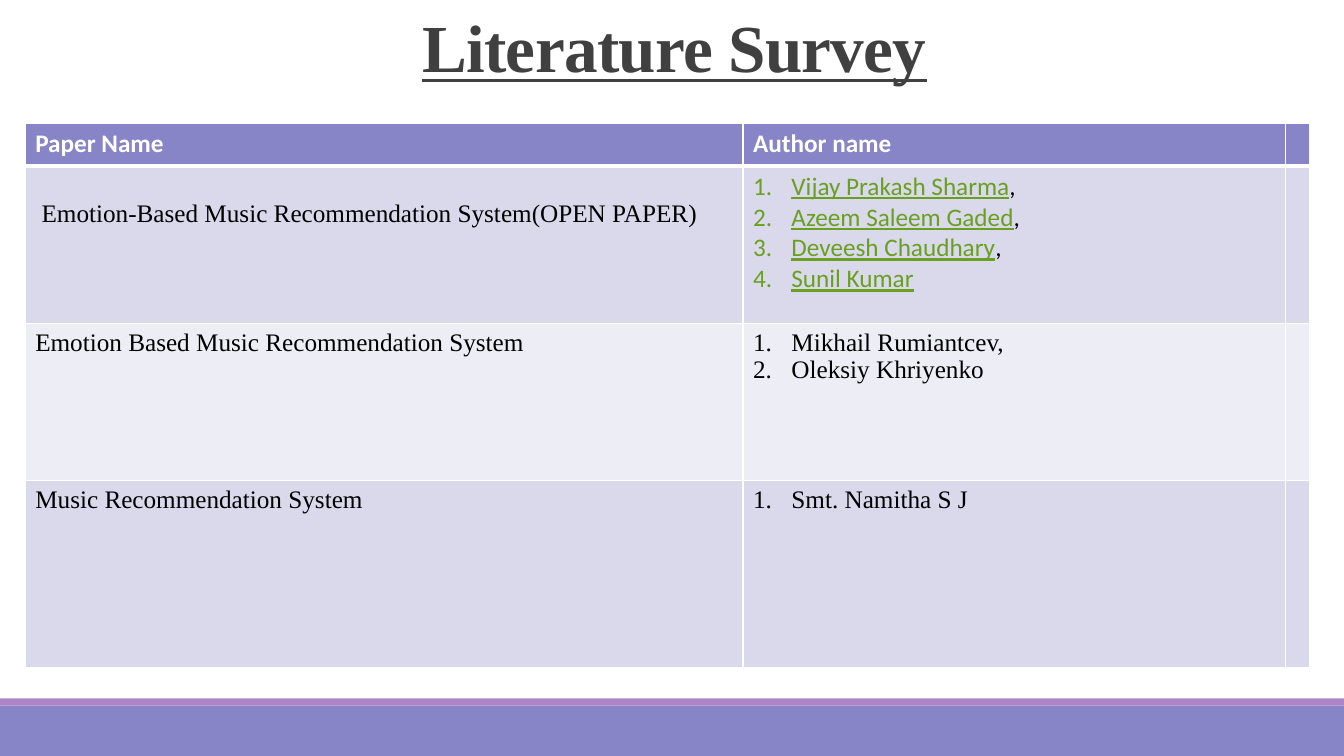
from lxml.etree import SubElement
from pptx import Presentation
from pptx.dml.color import RGBColor
from pptx.enum.shapes import MSO_SHAPE
from pptx.enum.text import MSO_ANCHOR, MSO_AUTO_SIZE, PP_ALIGN
from pptx.oxml.ns import qn
from pptx.util import Inches, Pt

COLORS = {"purple": "8784C7", "orchid": "AD84C6", "dark": "404040", "white": "FFFFFF",
          "black": "000000", "link": "69A020", "band": "D9D9EB", "light": "EDEDF5"}
SERIF, SANS = "Times New Roman", "Calibri"


def add_run(p, text, color, **formats):
    r = p.add_run()
    r.text = text
    r.font.color.rgb = RGBColor.from_string(COLORS[color])
    for name, value in formats.items():
        setattr(r.font, name, value)
    return r


def add_border(cell, side, width):
    ln = SubElement(cell._tc.get_or_add_tcPr(), qn(f"a:ln{side}"), w=str(Pt(width)))
    fill = SubElement(ln, qn("a:solidFill"))
    SubElement(fill, qn("a:srgbClr"), val=COLORS["white"])


prs = Presentation()
prs.slide_width, prs.slide_height = Inches(13.33), Inches(7.5)
s = prs.slides.add_slide(prs.slide_layouts[5])

# Footer bands
for top, height, color in [(7, 0.5, "purple"), (6.93, 0.07, "orchid")]:
    sp = s.shapes.add_shape(MSO_SHAPE.RECTANGLE, 0, Inches(top), prs.slide_width, Inches(height))
    sp.shadow.inherit = False
    sp.fill.solid()
    sp.fill.fore_color.rgb = RGBColor.from_string(COLORS[color])
    sp.line.fill.background()

# Title
title = s.shapes.title
title.left, title.top, title.width, title.height = map(Inches, (1.19, 0, 11, 0.91))
tf = title.text_frame
tf.auto_size = MSO_AUTO_SIZE.NONE
tf.vertical_anchor = MSO_ANCHOR.BOTTOM
p = tf.paragraphs[0]
p.alignment = PP_ALIGN.CENTER
p.line_spacing = 0.85
r = add_run(p, "Literature Survey", "dark", name=SERIF, size=Pt(48), bold=True, underline=True)
r.font._element.set("spc", "-50")

# Papers and their numbered authors
papers = [
    (" Emotion-Based Music Recommendation System(OPEN PAPER)",
     ["Vijay Prakash Sharma,", "Azeem Saleem Gaded,", "Deveesh Chaudhary,", "Sunil Kumar"]),
    ("Emotion Based Music Recommendation System", ["Mikhail Rumiantcev,", "Oleksiy Khriyenko"]),
    ("Music Recommendation System", ["Smt. Namitha S J"]),
]

# Table grid
col_widths, row_heights = [7.12, 5.38, 0.23], [0.43, 1.56, 1.56, 1.85]
table = s.shapes.add_table(4, 3, Inches(0.25), Inches(1.22), Inches(sum(col_widths)),
                           Inches(sum(row_heights))).table
for col, width in zip(table.columns, col_widths):
    col.width = Inches(width)
for i, (row, height) in enumerate(zip(table.rows, row_heights)):
    row.height = Inches(height)
    for cell in row.cells:
        for side in "LRTB":
            thick = (i, side) in [(0, "B"), (1, "T")]
            add_border(cell, side, 3 if thick else 1)
        cell.fill.solid()
        fill = "purple" if i == 0 else "band" if i % 2 else "light"
        cell.fill.fore_color.rgb = RGBColor.from_string(COLORS[fill])

# Header row
for j, heading in enumerate(["Paper Name", "Author name"]):
    add_run(table.cell(0, j).text_frame.paragraphs[0], heading, "white",
            name=SANS, size=Pt(18), bold=True)

# Paper rows
for i, (paper, authors) in enumerate(papers, 1):
    add_run(table.cell(i, 0).text_frame.paragraphs[0], paper, "black", name=SERIF, size=Pt(18))
    linked = i == 1
    tf = table.cell(i, 1).text_frame
    for k, author in enumerate(authors):
        p = tf.add_paragraph() if k else tf.paragraphs[0]
        pPr = p._p.get_or_add_pPr()
        pPr.set("marL", str(Inches(0.38)))
        pPr.set("indent", str(-Inches(0.38)))
        SubElement(pPr, qn("a:buFont"), typeface="+mj-lt")
        SubElement(pPr, qn("a:buAutoNum"), type="arabicPeriod")
        if linked:
            add_run(p, author.rstrip(","), "link", name=SANS, size=Pt(18), underline=True)
            if author.endswith(","):
                add_run(p, ",", "black", name=SANS, size=Pt(18))
        else:
            add_run(p, author, "black", name=SERIF, size=Pt(18))

# The first paper name sits one line lower
table.cell(1, 0).margin_top = Inches(0.33)

prs.save("out.pptx")
